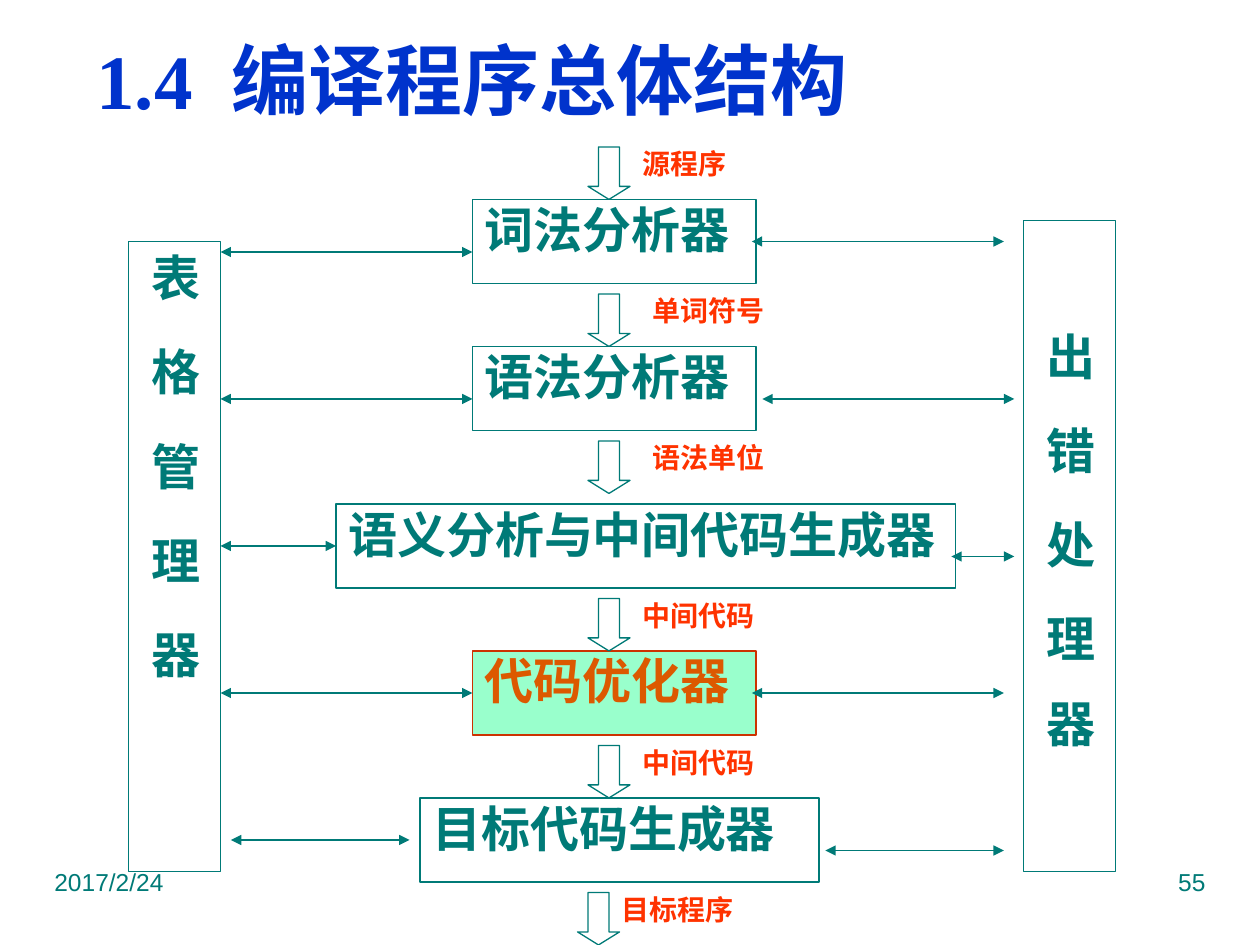
import pptx
import pptx.util
import pptx.dml.color
import pptx.enum.shapes
import pptx.enum.text
import pptx.oxml.ns
from lxml import etree

COLORS = {"teal": "007A77", "blue": "0033CC", "red": "FF3300", "orange": "DC5900",
          "mint": "99FFCC", "brick": "CC3300"}
CJK, SERIF, SANS = "Noto Sans CJK JP", "Times New Roman", "Arial"
ALIGN = pptx.enum.text.PP_ALIGN
ANCHOR = pptx.enum.text.MSO_ANCHOR
SHAPE = pptx.enum.shapes.MSO_SHAPE

# Content; places are columns and rows of a grid with 12 cells to the inch
# Text runs are (text, extra letter spacing in points)
TITLE = [("1.4", 0), (" ", 11), ("编译程序总体结构", 0)]
FOOTERS = [("2017/2/24", 4, ALIGN.LEFT), ("55", 86, ALIGN.RIGHT)]
STAGES = [  # name, column, row, width, text colour, line, fill
    ("词法分析器", 45, 19, 27, "teal", "teal", None),
    ("语法分析器", 45, 33, 27, "teal", "teal", None),
    ("语义分析与中间代码生成器", 32, 48, 59, "teal", "teal", None),
    ("代码优化器", 45, 62, 27, "orange", "brick", "mint"),
    ("目标代码生成器", 40, 76, 38, "teal", "teal", None),
]
FLOWS = [  # label, label column, arrow column, row
    ("源程序", 60, 56, 14),
    ("单词符号", 61, 56, 28),
    ("语法单位", 61, 56, 42),
    ("中间代码", 60, 56, 57),
    ("中间代码", 60, 56, 71),
    ("目标程序", 58, 55, 85),
]
MANAGERS = [  # runs, column, row, height, indent of the first character
    ([("表格管理器", 25.8)], 12.25, 23, 60, 0),
    ([("出错处", 25.8), ("理", 20.2), ("器", 0)], 97.5, 21, 62, 9.5),
]
LINKS = [  # start column, end column, row, stage joined at its left side
    (21, 45, 24, None), (21, 45, 38, None), (21, 32, 52, 2),
    (21, 45, 66, 3), (22, 39, 80, None),
    (71.6, 95.6, 23, None), (72.6, 96.6, 38, None), (90.6, 96.6, 53, None),
    (71.6, 95.6, 66, None), (78.6, 95.6, 81, None),
]

presentation = pptx.Presentation()
presentation.slide_width = pptx.util.Inches(10)
presentation.slide_height = pptx.util.Inches(7.5)
slide = presentation.slides.add_slide(presentation.slide_layouts[6])


def grid(cells):
    return pptx.util.Inches(cells / 12)


def color(name):
    return pptx.dml.color.RGBColor.from_string(COLORS[name])


def add_outline(kind, column, row, width, height, line="teal", fill=None):
    shape = slide.shapes.add_shape(kind, grid(column), grid(row), grid(width), grid(height))
    shape.shadow.inherit = False
    shape.line.color.rgb = color(line)
    shape.line.width = pptx.util.Pt(0.75)
    if fill:
        shape.fill.solid()
        shape.fill.fore_color.rgb = color(fill)
    else:
        shape.fill.background()
    return shape


def add_box(column, row, width, height):
    return slide.shapes.add_textbox(grid(column), grid(row), grid(width), grid(height))


def write(shape, runs, size, name, font=CJK, bold=True, align=ALIGN.LEFT,
          anchor=ANCHOR.TOP, top=0):
    frame = shape.text_frame
    frame.word_wrap = True
    frame.vertical_anchor = anchor
    frame.margin_top = pptx.util.Inches(top)
    paragraph = frame.paragraphs[0]
    paragraph.alignment = align
    for text, spacing in runs:
        run = paragraph.add_run()
        run.text = text
        run.font.size = pptx.util.Pt(size)
        run.font.bold = bold
        run.font.color.rgb = color(name)
        run.font.name = font
        properties = run._r.get_or_add_rPr()
        east_asian = etree.SubElement(properties, pptx.oxml.ns.qn("a:ea"))
        east_asian.set("typeface", CJK)
        if spacing:
            properties.set("spc", str(round(spacing * 100)))
    return paragraph


# Title and footers
write(add_box(8, 3, 108, 9), TITLE, 44, "blue", SERIF, anchor=ANCHOR.MIDDLE, top=0.05)
for text, column, align in FOOTERS:
    write(add_box(column, 82, 30, 6.2), [(text, 0)], 14, "teal", SANS, False, align, top=0.05)

# Compiler stages
stages = []
for text, column, row, width, name, line, fill in STAGES:
    stage = add_outline(SHAPE.RECTANGLE, column, row, width, 8, line, fill)
    write(stage, [(text, 0)], 28, name)
    stages.append(stage)

# Vertical managers on both sides
for runs, column, row, height, indent in MANAGERS:
    manager = add_outline(SHAPE.RECTANGLE, column, row, 8.75, height)
    paragraph = write(manager, runs, 28, "teal", anchor=ANCHOR.MIDDLE, top=0.05)
    manager.text_frame._txBody.bodyPr.set("vert", "eaVert")
    paragraph._p.get_or_add_pPr().set("marL", str(grid(indent)))

# Two-headed links
for start, end, row, joined in LINKS:
    link = slide.shapes.add_connector(pptx.enum.shapes.MSO_CONNECTOR.STRAIGHT,
                                      grid(start), grid(row), grid(end), grid(row))
    if joined is not None:
        link.end_connect(stages[joined], 1)
    link.line.color.rgb = color("teal")
    link.line.width = pptx.util.Pt(0.75)
    for tag in ("a:headEnd", "a:tailEnd"):
        etree.SubElement(link.line._get_or_add_ln(), pptx.oxml.ns.qn(tag)).set("type", "triangle")
    etree.SubElement(link._element.spPr, pptx.oxml.ns.qn("a:effectLst"))

# Data flowing between the stages
for text, label_column, arrow_column, row in FLOWS:
    arrow = add_outline(SHAPE.DOWN_ARROW, arrow_column, row, 4, 5)
    arrow.adjustments[0] = 0.5
    arrow.adjustments[1] = 0.31
    write(add_box(label_column, row, 16, 4), [(text, 0)], 16, "red")

presentation.save("out.pptx")
